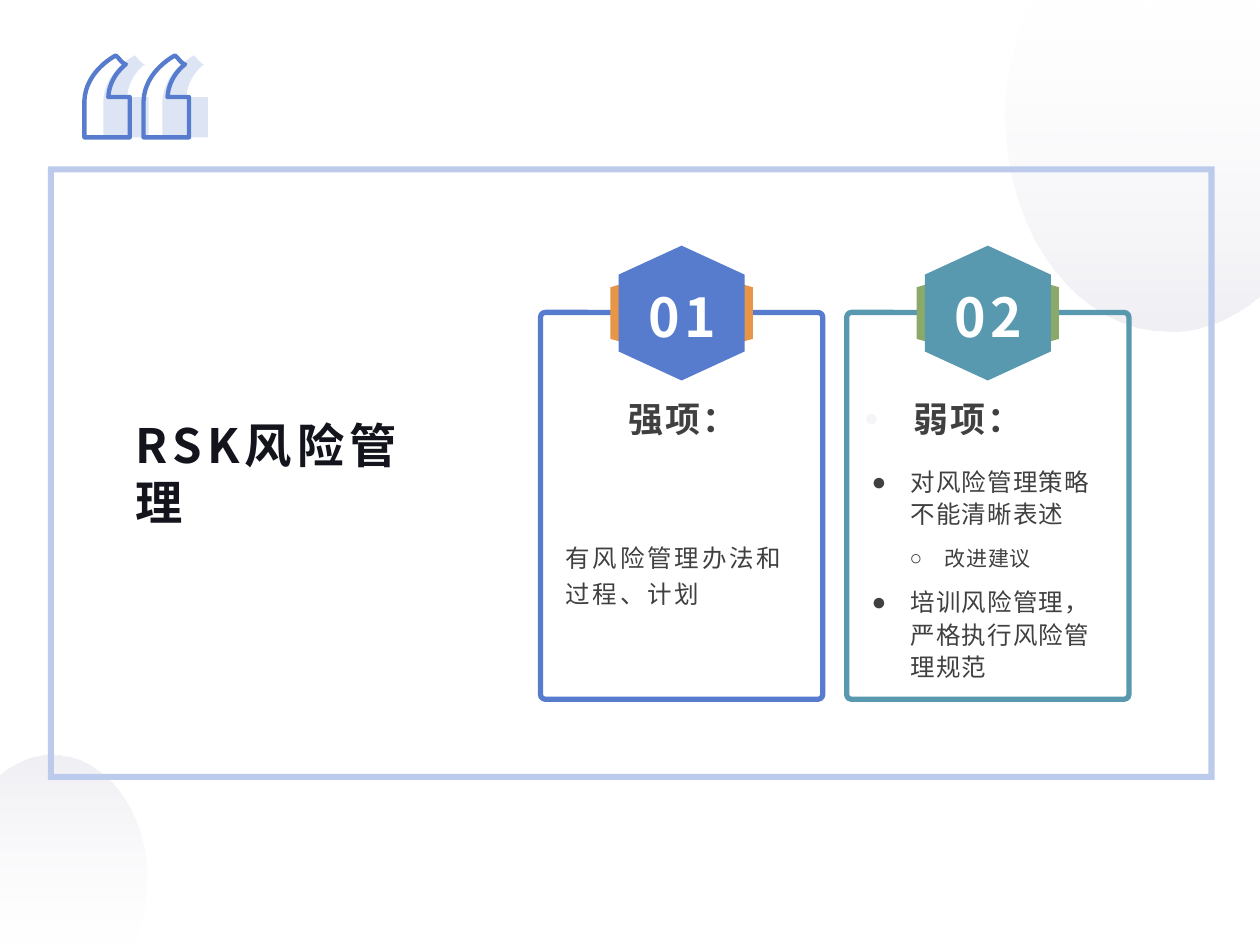
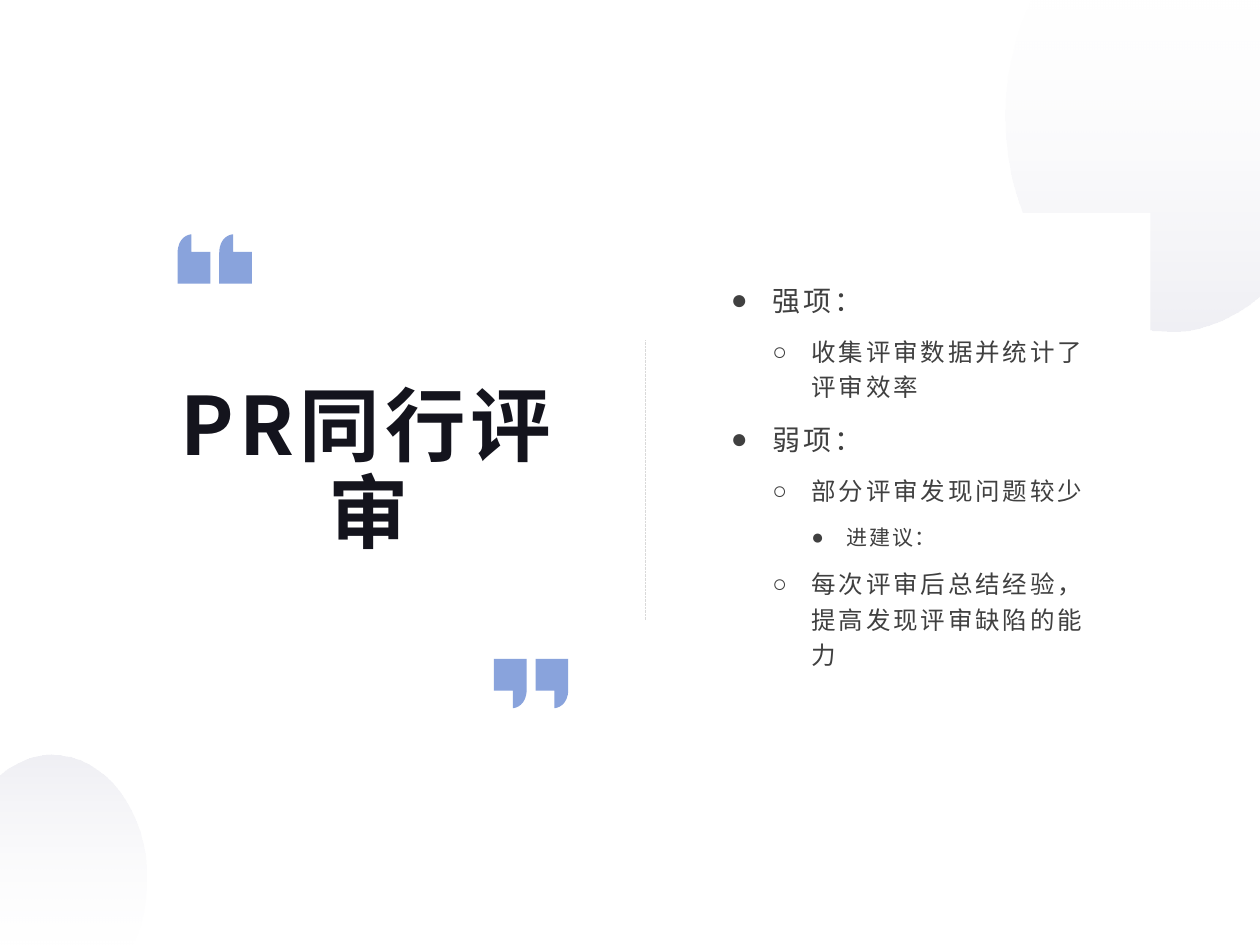
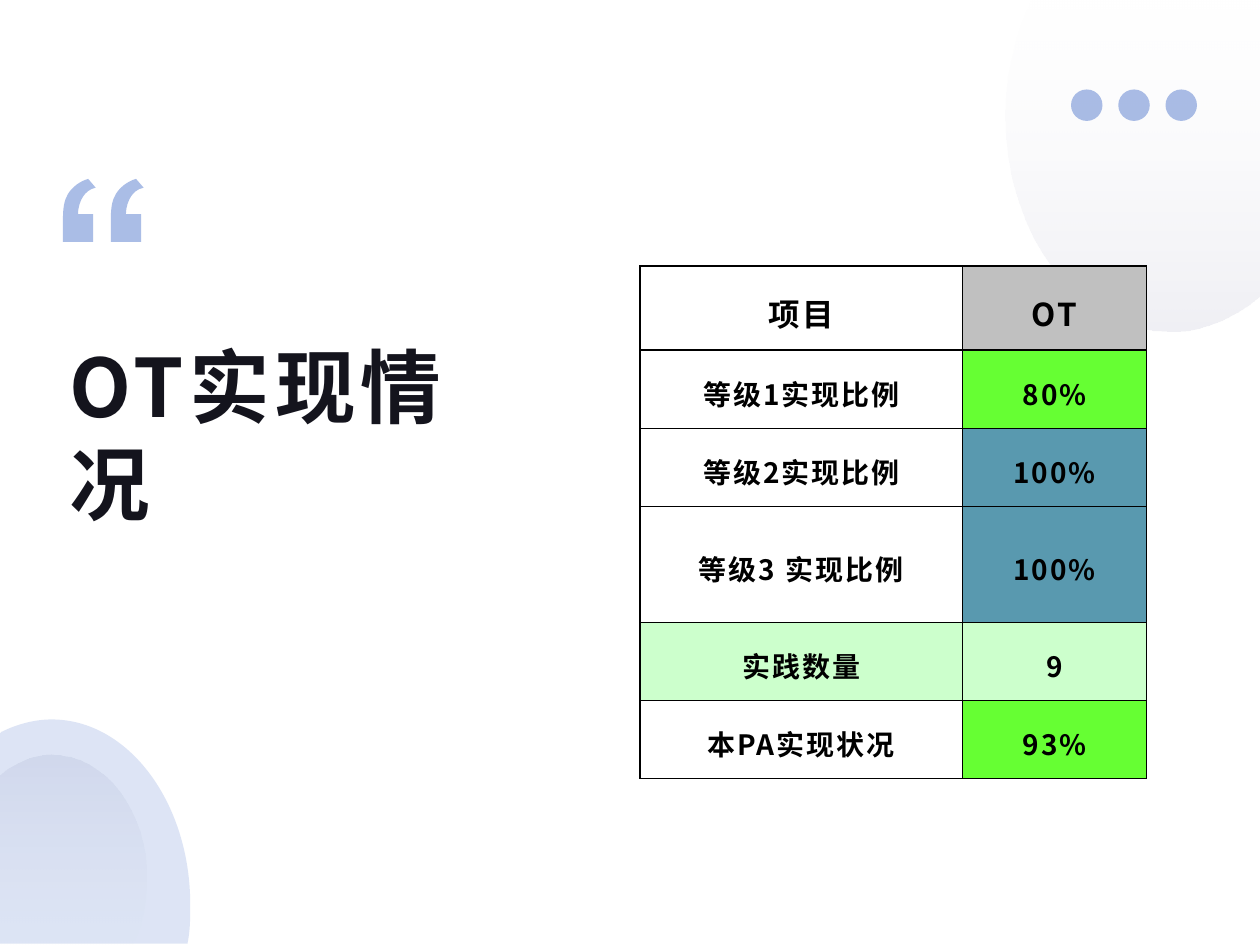
import pptx
import pptx.util
import pptx.dml.color
import pptx.enum.dml
import pptx.enum.shapes
import pptx.enum.text
import pptx.oxml.ns
from lxml import etree

Inches = pptx.util.Inches
SHAPES = pptx.enum.shapes.MSO_SHAPE
ALIGN = pptx.enum.text.PP_ALIGN
MIDDLE = pptx.enum.text.MSO_ANCHOR.MIDDLE
qn = pptx.oxml.ns.qn

FONT, BULLET_FONT = "Noto Sans CJK SC", "Arial"
BLUE, TEAL, ORANGE, GREEN = "577CCE", "5999AF", "E79647", "8BAA69"
PALE_BLUE, FRAME_BLUE = "DDE5F5", "BCCBEB"
INK, GRAY, WHITE, BLACK = "14141D", "404040", "FFFFFF", "000000"
LIME, MINT, SILVER = "66FF33", "CCFFCC", "C0C0C0"
TITLE = dict(color=INK, bold=True, spacing=3)
NORMAL = (0.1, 0.05, 0.1, 0.05)
TIGHT = (0.05, 0.02, 0.05, 0.02)

TOP_BLOB = [(8.19, 0), (10, 0), (10, 2.34), (9.9, 2.42), (9.71, 2.55, 9.5, 2.63, 9.28, 2.63),
            (8.56, 2.63, 7.98, 1.87, 7.98, 0.92), (7.98, 0.63, 8.04, 0.35, 8.14, 0.11)]
BOTTOM_BLOB = [(1.04, 7.5), (0, 7.5), (0, 6.16), (0.06, 6.11), (0.16, 6.04, 0.29, 5.99, 0.41, 5.99),
               (0.83, 5.99, 1.16, 6.43, 1.16, 6.97), (1.16, 7.14, 1.13, 7.3, 1.07, 7.44)]
CORNER = [(0.41, 5.71), (1.02, 5.71, 1.51, 6.37, 1.51, 7.18), (1.51, 7.28, 1.51, 7.38, 1.49, 7.48),
          (1.49, 7.49), (0, 7.49), (0, 5.82), (0.01, 5.81), (0.13, 5.75, 0.27, 5.71, 0.41, 5.71)]
CURLED_QUOTE = [(0.25, 0), (0.27, 0.02), (0.28, 0.04, 0.3, 0.05, 0.32, 0.07), (0.33, 0.07),
                (0.33, 0.07, 0.2, 0.16, 0.19, 0.33), (0.36, 0.33), (0.36, 0.65), (0, 0.65),
                (0, 0.36), (0.01, 0.12, 0.25, 0, 0.25, 0)]
BLOCK_QUOTE = [(0.11, 0), (0.11, 0.14), (0.26, 0.14), (0.26, 0.39), (0, 0.39), (0, 0.15),
               (0, 0.02, 0.09, 0, 0.11, 0)]
SLIM_QUOTE = [(0.24, 0.28), (0.24, 0.5), (0, 0.5), (0, 0.32), (0, 0.23, 0.01, 0.17, 0.04, 0.12),
              (0.07, 0.07, 0.13, 0.02, 0.2, 0), (0.26, 0.07), (0.21, 0.08, 0.18, 0.11, 0.16, 0.14),
              (0.14, 0.17, 0.12, 0.22, 0.12, 0.28)]

RISK_LEVELS = [dict(size=14, spacing=0.6, indent=(0.31, -0.31), bullet="●"),
               dict(size=12, spacing=0.4, indent=(0.58, -0.28), bullet="○")]
REVIEW_LEVELS = [dict(size=16, spacing=1.8, indent=(0.33, -0.33), bullet="●"),
                 dict(size=14, spacing=1.6, indent=(0.64, -0.31), bullet="○"),
                 dict(size=12, spacing=1, indent=(0.92, -0.28), bullet="●")]
PLAIN_LEVELS = [dict(size=14, spacing=1.6)]

CARDS = [
    dict(number="01", color=BLUE, accent=ORANGE, heading="强项：",
         heading_format=dict(align=ALIGN.CENTER),
         items=[(0, "有风险管理办法和过程、计划")], levels=PLAIN_LEVELS, line_spacing=1.2),
    dict(number="02", color=TEAL, accent=GREEN, heading="弱项：",
         heading_format=dict(indent=(0.39, -0.39), bullet="●", bullet_color="F5F5F8", bullet_size=70),
         items=[(0, "对风险管理策略不能清晰表述"), (1, "改进建议"),
                (0, "培训风险管理，严格执行风险管理规范")],
         levels=RISK_LEVELS, line_spacing=1.1),
]
REVIEW_ITEMS = [
    (0, "强项："), (1, "收集评审数据并统计了评审效率"),
    (0, "弱项："), (1, "部分评审发现问题较少"), (2, "进建议："),
    (1, "每次评审后总结经验，提高发现评审缺陷的能力"),
]
RESULT_COLUMNS = [2.56, 1.46]
RESULT_ROWS = [
    (0.67, ("项目", WHITE), ("OT", SILVER)),
    (0.62, ("等级1实现比例", WHITE), ("80%", LIME)),
    (0.62, ("等级2实现比例", WHITE), ("100%", TEAL)),
    (0.92, ("等级3 实现比例", WHITE), ("100%", TEAL)),
    (0.62, ("实践数量", MINT), ("9", MINT)),
    (0.62, ("本PA实现状况", WHITE), ("93%", LIME)),
]


def rgb(value):
    return pptx.dml.color.RGBColor.from_string(value)


def add_xml(parent, tag, **attributes):
    return etree.SubElement(parent, qn(tag), {key: str(value) for key, value in attributes.items()})


def paint(shape, fill=None, alpha=None, line=None, width=1):
    shape.shadow.inherit = False
    if fill:
        shape.fill.solid()
        shape.fill.fore_color.rgb = rgb(fill)
        if alpha:
            color = shape.element.spPr.find(qn("a:solidFill"))[0]
            add_xml(color, "a:alpha", val=alpha * 1000)
    else:
        shape.fill.background()
    if line:
        shape.line.color.rgb = rgb(line)
        shape.line.width = pptx.util.Pt(width)
    else:
        shape.line.fill.background()
    return shape


def add_shape(slide, kind, box, adjustment=None, **look):
    shape = slide.shapes.add_shape(kind, *map(Inches, box))
    if adjustment:
        shape.adjustments[0] = adjustment
    return paint(shape, **look)


def bend(shape, outline, origins):
    steps = [(origin, step) for origin in origins for step in outline[1:]]
    segments = list(shape.element.iter(qn("a:lnTo")))
    for segment, ((left, top), step) in zip(segments, steps):
        if len(step) == 2:
            continue
        curve = etree.Element(qn("a:cubicBezTo"))
        for x, y in (step[:2], step[2:4], step[4:]):
            add_xml(curve, "a:pt", x=Inches(left + x) - shape.left, y=Inches(top + y) - shape.top)
        segment.getparent().replace(segment, curve)


def add_outline(slide, outline, origins=((0, 0),), **look):
    builder = None
    for left, top in origins:
        points = [(Inches(left + step[-2]), Inches(top + step[-1])) for step in outline]
        if builder is None:
            builder = slide.shapes.build_freeform(*points[0], scale=1.0)
        else:
            builder.move_to(*points[0])
        builder.add_line_segments(points[1:], close=True)
    shape = builder.convert_to_shape()
    bend(shape, outline, origins)
    return paint(shape, **look)


def add_blob(slide, outline, angle):
    shape = add_outline(slide, outline)
    shape.fill.gradient()
    shape.fill.gradient_angle = angle
    looks = [(WHITE, 10, 0), ("BEBED2", 24, 1)]
    for stop, (color, alpha, position) in zip(shape.fill.gradient_stops, looks):
        stop.color.rgb = rgb(color)
        stop.position = position
    stops = shape.element.spPr.iter(qn("a:srgbClr"))
    for element, (color, alpha, position) in zip(list(stops), looks):
        add_xml(element, "a:alpha", val=alpha * 1000)


def write(paragraph, text, size=14, color=GRAY, bold=False, spacing=0, align=None, level=0,
          indent=None, bullet=None, bullet_color=None, bullet_size=None, line_spacing=None, after=0):
    paragraph.level = level
    paragraph.alignment = align
    paragraph.space_after = pptx.util.Pt(after)
    if line_spacing:
        paragraph.line_spacing = line_spacing
    run = paragraph.add_run()
    run.text = text
    run.font.size = pptx.util.Pt(size)
    run.font.bold = bold
    run.font.color.rgb = rgb(color)
    run.font.name = FONT
    run_properties = run.font._element
    run_properties.set("spc", str(round(spacing * 100)))
    add_xml(run_properties, "a:ea", typeface=FONT)
    properties = paragraph._p.get_or_add_pPr()
    if indent:
        properties.set("marL", str(Inches(indent[0])))
        properties.set("indent", str(Inches(indent[1])))
    if bullet_color:
        add_xml(add_xml(properties, "a:buClr"), "a:srgbClr", val=bullet_color)
    if bullet_size:
        add_xml(properties, "a:buSzPct", val=bullet_size * 1000)
    if bullet:
        add_xml(properties, "a:buFont", typeface=BULLET_FONT)
        add_xml(properties, "a:buChar", char=bullet)


def set_margins(target, insets):
    target.margin_left, target.margin_top, target.margin_right, target.margin_bottom = map(Inches, insets)


def add_frame(slide, box, insets):
    frame = slide.shapes.add_textbox(*map(Inches, box)).text_frame
    frame.word_wrap = True
    frame.vertical_anchor = MIDDLE
    set_margins(frame, insets)
    return frame


def add_text(slide, box, text, insets=NORMAL, **style):
    write(add_frame(slide, box, insets).paragraphs[0], text, **style)


def add_list(slide, box, items, levels, line_spacing, insets=NORMAL):
    frame = add_frame(slide, box, insets)
    for index, (level, text) in enumerate(items):
        paragraph = frame.add_paragraph() if index else frame.paragraphs[0]
        write(paragraph, text, level=level, line_spacing=line_spacing, after=8, **levels[level])


def add_hexagon(slide, center, top, half_width, height, shoulder, color):
    left, right, bottom = center - half_width, center + half_width, top + height
    add_outline(slide, [(center, top), (right, top + shoulder), (right, bottom - shoulder),
                        (center, bottom), (left, bottom - shoulder), (left, top + shoulder)], fill=color)


def add_card(slide, left, card):
    center = left + 1.12
    add_shape(slide, SHAPES.ROUNDED_RECTANGLE, (left, 2.48, 2.24, 3.07), 0.017, line=card["color"], width=3)
    add_hexagon(slide, center, 2.12, 0.565, 0.73, 0.16, card["accent"])
    add_hexagon(slide, center, 1.95, 0.5, 1.07, 0.23, card["color"])
    add_list(slide, (left + 0.1, 3.6, 2.05, 1.89), card["items"], card["levels"], card["line_spacing"])
    add_text(slide, (left + 0.04, 3.09, 2.18, 0.46), card["heading"], size=20, bold=True,
             spacing=1.2, **card["heading_format"])
    add_text(slide, (left + 0.72, 2.06, 0.81, 0.89), card["number"], size=30.6, color=WHITE,
             bold=True, spacing=2.6, align=ALIGN.CENTER, after=8)


def add_slide(presentation):
    slide = presentation.slides.add_slide(presentation.slide_layouts[6])
    add_blob(slide, TOP_BLOB, 270)
    add_blob(slide, BOTTOM_BLOB, 90)
    return slide


def build_risk_slide(presentation):
    slide = add_slide(presentation)
    add_shape(slide, SHAPES.FRAME, (0.38, 1.32, 9.26, 4.87), 0.01, fill=FRAME_BLUE)
    for left, look in [(0.82, dict(fill=PALE_BLUE)), (0.67, dict(line=BLUE, width=2.5))]:
        add_outline(slide, CURLED_QUOTE, [(left, 0.44), (left + 0.47, 0.44)], **look)
    add_text(slide, (0.98, 3.04, 2.53, 1.43), "RSK风险管理", size=27, **TITLE)
    for index, card in reversed(list(enumerate(CARDS))):
        add_card(slide, 4.29 + 2.43 * index, card)


def build_review_slide(presentation):
    slide = add_slide(presentation)
    add_shape(slide, SHAPES.RECTANGLE, (0.88, 1.69, 8.25, 4.13), fill=WHITE)
    divider = slide.shapes.add_connector(pptx.enum.shapes.MSO_CONNECTOR.STRAIGHT,
                                         *map(Inches, (5.12, 2.7, 5.12, 4.92)))
    divider.line.color.rgb = rgb("D9D9D9")
    divider.line.width = pptx.util.Pt(0.1)
    divider.line.dash_style = pptx.enum.dml.MSO_LINE.DASH
    add_xml(divider.element.spPr, "a:effectLst")
    for left, top, rotation in [(1.41, 1.86, 0), (3.92, 5.23, 180)]:
        for offset in (0, 0.33):
            mark = add_outline(slide, BLOCK_QUOTE, [(left + offset, top)], fill=BLUE, alpha=70)
            mark.rotation = rotation
    add_list(slide, (5.75, 2.13, 2.97, 3.25), REVIEW_ITEMS, REVIEW_LEVELS, 1.2, TIGHT)
    add_text(slide, (1.28, 2.94, 3.29, 1.63), "PR同行评审", TIGHT, size=46, align=ALIGN.CENTER,
             line_spacing=0.9, **TITLE)


def fill_cell(cell, text, fill, size, spacing):
    cell.vertical_anchor = MIDDLE
    set_margins(cell, (0.19, 0.12, 0.19, 0.12))
    write(cell.text_frame.paragraphs[0], text, size=size, color=BLACK, bold=True, spacing=spacing,
          align=ALIGN.CENTER, line_spacing=1.2)
    properties = cell._tc.get_or_add_tcPr()
    for side in ("a:lnL", "a:lnR", "a:lnT", "a:lnB"):
        border = add_xml(properties, side, w=pptx.util.Pt(1))
        add_xml(add_xml(border, "a:solidFill"), "a:srgbClr", val=BLACK)
    cell.fill.solid()
    cell.fill.fore_color.rgb = rgb(fill)


def build_result_slide(presentation):
    slide = add_slide(presentation)
    for index in range(3):
        add_shape(slide, SHAPES.OVAL, (8.5 + 0.375 * index, 0.71, 0.25, 0.25), fill=BLUE, alpha=50)
    add_outline(slide, CORNER, fill=BLUE, alpha=20)
    add_outline(slide, SLIM_QUOTE, [(0.5, 1.42), (0.88, 1.42)], fill=BLUE, alpha=50)
    add_text(slide, (0.5, 2.61, 3.69, 1.67), "OT实现情况", TIGHT, size=46, **TITLE)
    height = sum(row[0] for row in RESULT_ROWS)
    table = slide.shapes.add_table(len(RESULT_ROWS), len(RESULT_COLUMNS), Inches(5.08), Inches(2.11),
                                   Inches(sum(RESULT_COLUMNS)), Inches(height)).table
    table.first_row = table.horz_banding = False
    for column, width in zip(table.columns, RESULT_COLUMNS):
        column.width = Inches(width)
    for row_index, (row_height, *cells) in enumerate(RESULT_ROWS):
        table.rows[row_index].height = Inches(row_height)
        size, spacing = (16, 1.2) if row_index else (18, 1.3)
        for column_index, (text, fill) in enumerate(cells):
            fill_cell(table.cell(row_index, column_index), text, fill, size, spacing)


def main():
    presentation = pptx.Presentation()
    presentation.slide_width = Inches(10)
    presentation.slide_height = Inches(7.5)
    build_risk_slide(presentation)
    build_review_slide(presentation)
    build_result_slide(presentation)
    presentation.save("out.pptx")


if __name__ == "__main__":
    main()
